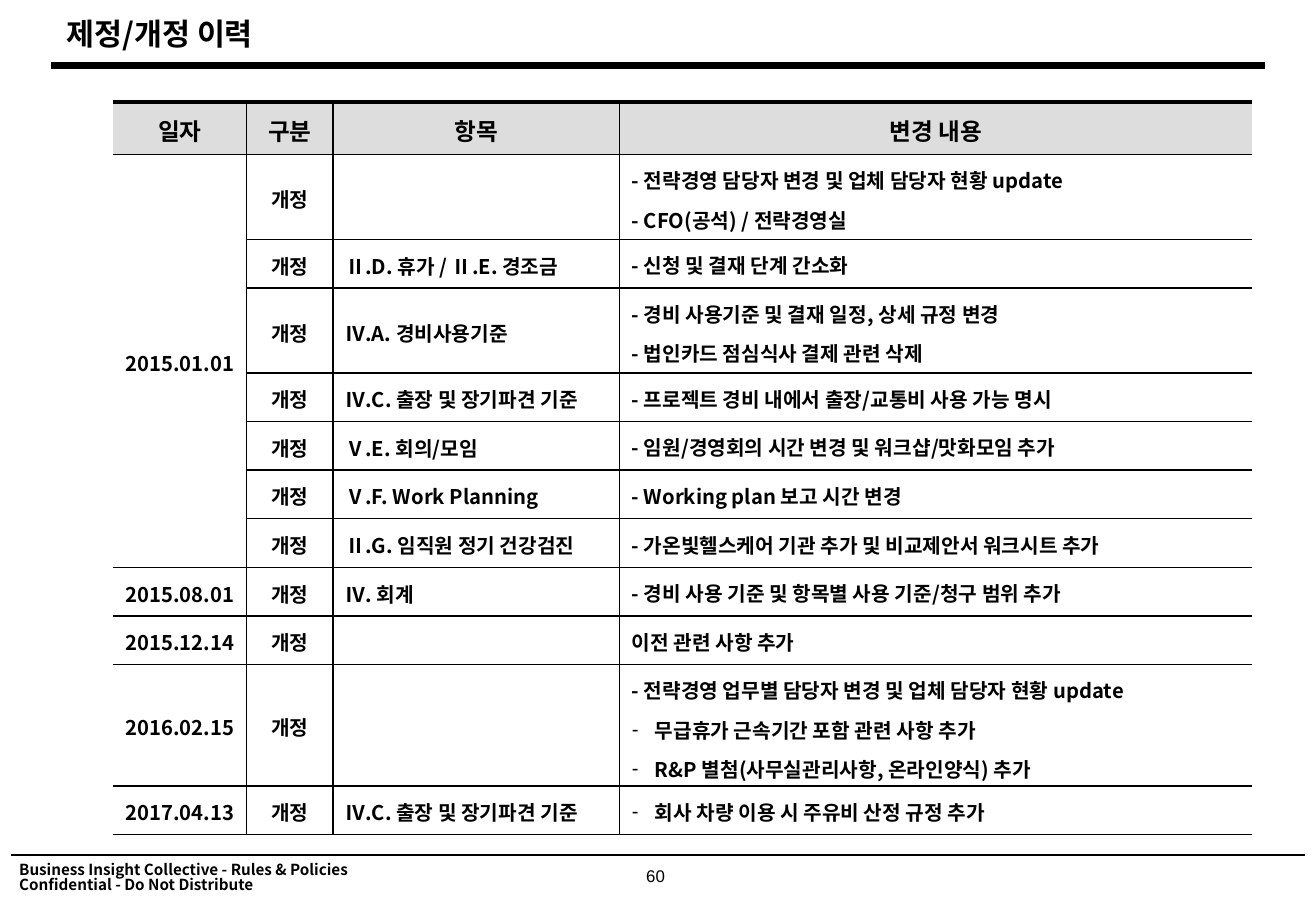
from dataclasses import dataclass

from lxml import etree
from pptx import Presentation
from pptx import util as u
from pptx.dml.color import RGBColor
from pptx.enum import shapes, text
from pptx.oxml import ns

Inches, Pt = u.Inches, u.Pt
ALIGN, ANCHOR = text.PP_ALIGN, text.MSO_ANCHOR


@dataclass(frozen=True)
class Theme:
    ink: str = "000000"
    header_fill: str = "DDDDDD"
    sans: str = "Noto Sans CJK KR"
    arial: str = "Arial"
    title: int = 18
    header: int = 14
    body: int = 12
    page: int = 10
    footer: int = 9
    rule: float = 1
    header_rule: float = 2.25
    title_rule: float = 4


T = Theme()


def add_text(p, s, size, font=T.sans, bold=True):
    """Add a run with matching Latin and Korean fonts; an empty text sets only the size."""
    if not s:
        etree.SubElement(p._p, ns.qn("a:endParaRPr"), sz=str(size * 100))
        return
    r = p.add_run()
    r.text = s
    for name, value in {"size": Pt(size), "bold": bold, "name": font}.items():
        setattr(r.font, name, value)
    r.font.color.rgb = RGBColor.from_string(T.ink)
    etree.SubElement(r._r.get_or_add_rPr(), ns.qn("a:ea"), typeface=T.sans)


def add_border(cell, side, width):
    """Draw one side of a cell; a zero width leaves it open."""
    ln = etree.SubElement(cell._tc.get_or_add_tcPr(), ns.qn(f"a:ln{side}"), w=str(Pt(width)))
    if width:
        fill = etree.SubElement(ln, ns.qn("a:solidFill"))
        etree.SubElement(fill, ns.qn("a:srgbClr"), val=T.ink)
    else:
        etree.SubElement(ln, ns.qn("a:noFill"))


prs = Presentation()
prs.slide_width, prs.slide_height = Inches(10.83), Inches(7.5)
slide = prs.slides.add_slide(prs.slide_layouts[6])

# Rules under the title and above the footer
for x1, x2, y, width in [(0.09, 10.74, 7.04, T.rule), (0.42, 10.41, 0.54, T.title_rule)]:
    line = slide.shapes.add_connector(
        shapes.MSO_CONNECTOR.STRAIGHT, Inches(x1), Inches(y), Inches(x2), Inches(y))
    line.line.color.rgb = RGBColor.from_string(T.ink)
    line.line.width = Pt(width)
    etree.SubElement(line._element.spPr, ns.qn("a:effectLst"))

# Title, page number and footer
labels = [
    ((0.45, 0.13, 4.1, 0.4), ["제정/개정 이력"], T.title, T.sans, True, ALIGN.LEFT, 0.83),
    ((5.21, 7.1, 0.37, 0.37), ["60"], T.page, T.arial, False, ALIGN.CENTER, 0.9),
    ((0.06, 7.06, 3.03, 0.4),
     ["Business Insight Collective - Rules & Policies", "Confidential - Do Not Distribute"],
     T.footer, T.sans, True, ALIGN.LEFT, 0.83),
]
for box, lines, size, font, bold, align, spacing in labels:
    tf = slide.shapes.add_textbox(*map(Inches, box)).text_frame
    tf.word_wrap = True
    for i, s in enumerate(lines):
        p = tf.add_paragraph() if i else tf.paragraphs[0]
        p.alignment, p.line_spacing = align, spacing
        add_text(p, s, size, font, bold)

# Revision history: date, kind, item, changes; "•" marks a dash-bulleted paragraph
header = ["일자", "구분", "항목", "변경 내용"]
revisions = [
    ("2015.01.01", "", ["- 전략경영 담당자 변경 및 업체 담당자 현황 update", "- CFO(공석) / 전략경영실"]),
    ("", "Ⅱ.D. 휴가 / Ⅱ.E. 경조금", ["- 신청 및 결재 단계 간소화"]),
    ("", "Ⅳ.A. 경비사용기준",
     ["- 경비 사용기준 및 결재 일정, 상세 규정 변경", "- 법인카드 점심식사 결제 관련 삭제"]),
    ("", "Ⅳ.C. 출장 및 장기파견 기준", ["- 프로젝트 경비 내에서 출장/교통비 사용 가능 명시"]),
    ("", "Ⅴ.E. 회의/모임", ["- 임원/경영회의 시간 변경 및 워크샵/맛화모임 추가"]),
    ("", "Ⅴ.F. Work Planning", ["- Working plan 보고 시간 변경"]),
    ("", "Ⅱ.G. 임직원 정기 건강검진", ["- 가온빛헬스케어 기관 추가 및 비교제안서 워크시트 추가"]),
    ("2015.08.01", "Ⅳ. 회계", ["- 경비 사용 기준 및 항목별 사용 기준/청구 범위 추가"]),
    ("2015.12.14", "", ["이전 관련 사항 추가"]),
    ("2016.02.15", "",
     ["- 전략경영 업무별 담당자 변경 및 업체 담당자 현황 update",
      "•무급휴가 근속기간 포함 관련 사항 추가",
      "•R&P 별첨(사무실관리사항, 온라인양식) 추가"]),
    ("2017.04.13", "Ⅳ.C. 출장 및 장기파견 기준", ["•회사 차량 이용 시 주유비 산정 규정 추가"]),
]
rows = [[[s] for s in header]]
rows += [[[date], ["개정"], [item], changes] for date, item, changes in revisions]
col_widths = [1.1, 0.71, 2.36, 5.2]
heights_by_lines = {1: 0.4, 2: 0.7, 3: 1.0}
row_heights = [0.43] + [heights_by_lines[len(row[3])] for row in rows[1:]]

table = slide.shapes.add_table(
    len(rows), len(header), Inches(0.93), Inches(0.84),
    Inches(sum(col_widths)), Inches(sum(row_heights))).table
table.first_row = table.horz_banding = False
for col, width in zip(table.columns, col_widths):
    col.width = Inches(width)
for row, height in zip(table.rows, row_heights):
    row.height = Inches(height)

last_col = len(header) - 1
for i, row in enumerate(rows):
    for j, lines in enumerate(row):
        cell = table.cell(i, j)
        is_header = i == 0
        at_top = is_header or j == last_col
        layout = {
            "margin_left": Inches(0.1), "margin_right": Inches(0.1),
            "margin_top": Inches(0.09), "margin_bottom": Inches(0 if at_top else 0.06),
            "vertical_anchor": ANCHOR.TOP if at_top else ANCHOR.MIDDLE,
        }
        for name, value in layout.items():
            setattr(cell, name, value)
        borders = {"L": T.rule if j else 0, "R": T.rule if j < last_col else 0,
                   "T": T.header_rule if is_header else T.rule, "B": T.rule}
        for side, width in borders.items():
            add_border(cell, side, width)
        if is_header:
            cell.fill.solid()
            cell.fill.fore_color.rgb = RGBColor.from_string(T.header_fill)
        else:
            cell.fill.background()
        tf = cell.text_frame
        for k, s in enumerate(lines):
            p = tf.add_paragraph() if k else tf.paragraphs[0]
            p.alignment = ALIGN.CENTER if is_header or j < 2 else ALIGN.LEFT
            if k:
                p.space_before = Pt(T.body / 2)
            if s.startswith("•"):
                pPr = p._p.get_or_add_pPr()
                pPr.set("marL", str(Inches(0.19)))
                pPr.set("indent", str(-Inches(0.19)))
                etree.SubElement(pPr, ns.qn("a:buFont"), typeface=T.arial)
                etree.SubElement(pPr, ns.qn("a:buChar"), char="-")
            add_text(p, s.lstrip("•"), T.header if is_header else T.body,
                     T.arial if is_header else T.sans)

table.cell(1, 0).merge(table.cell(7, 0))

prs.save("out.pptx")
